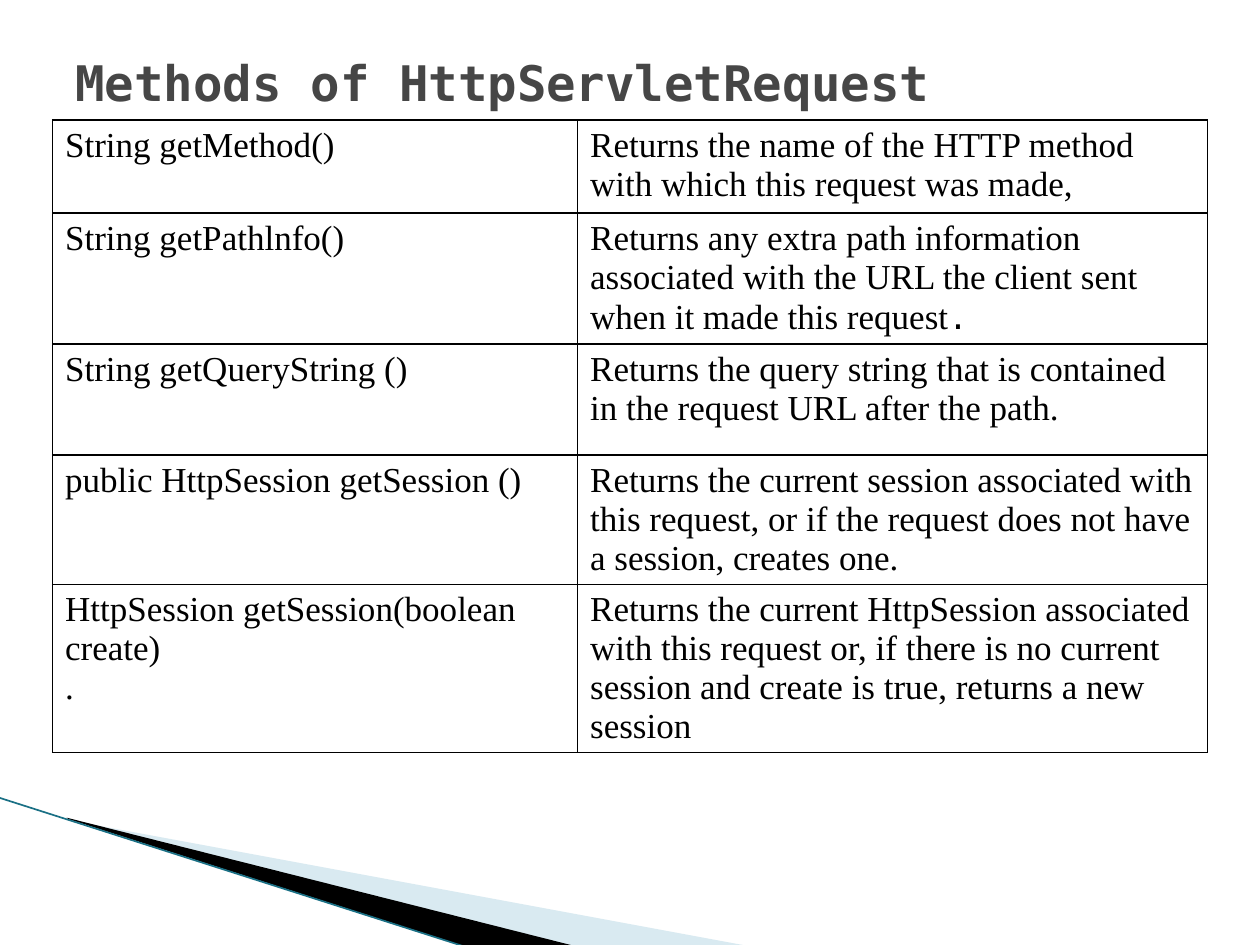
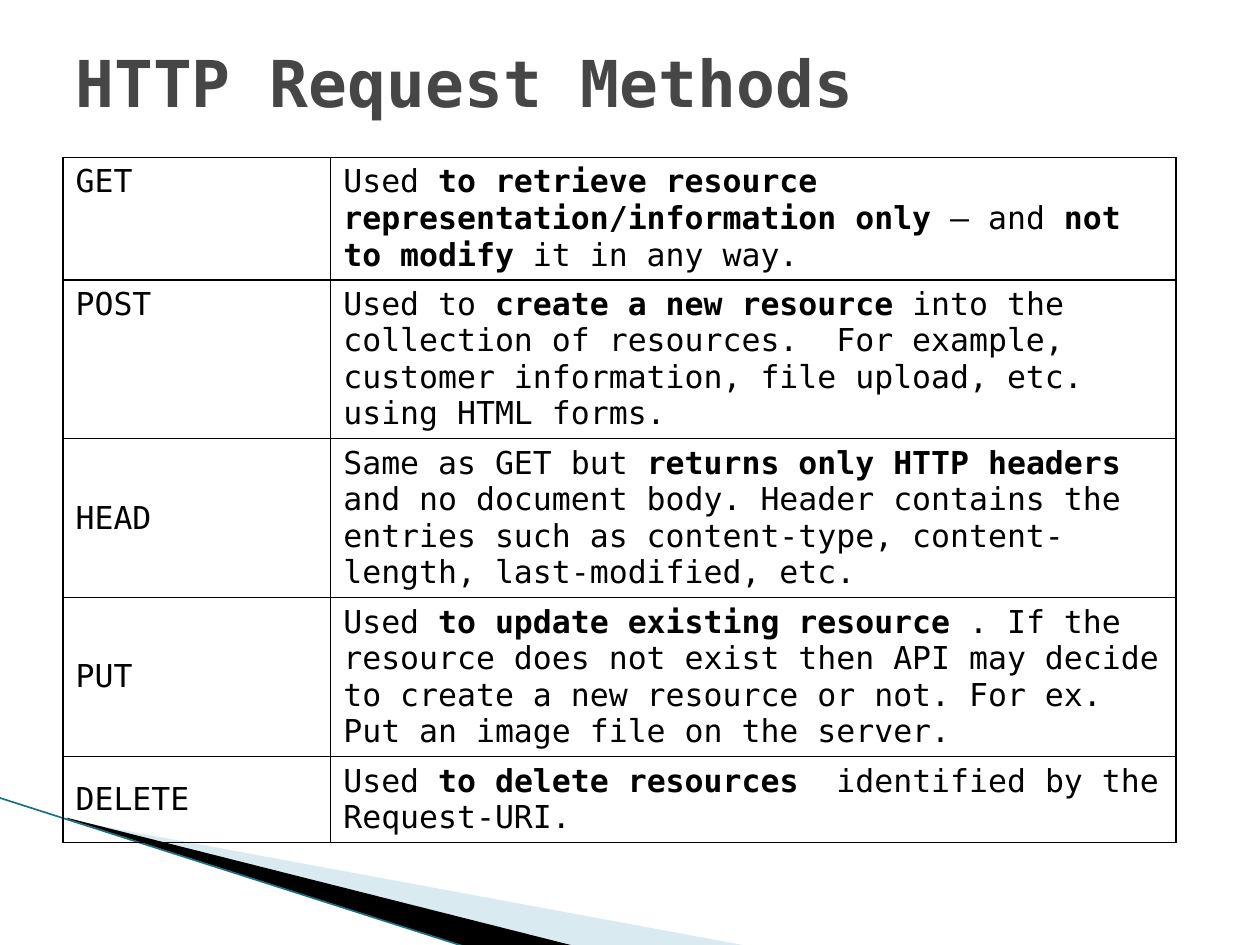
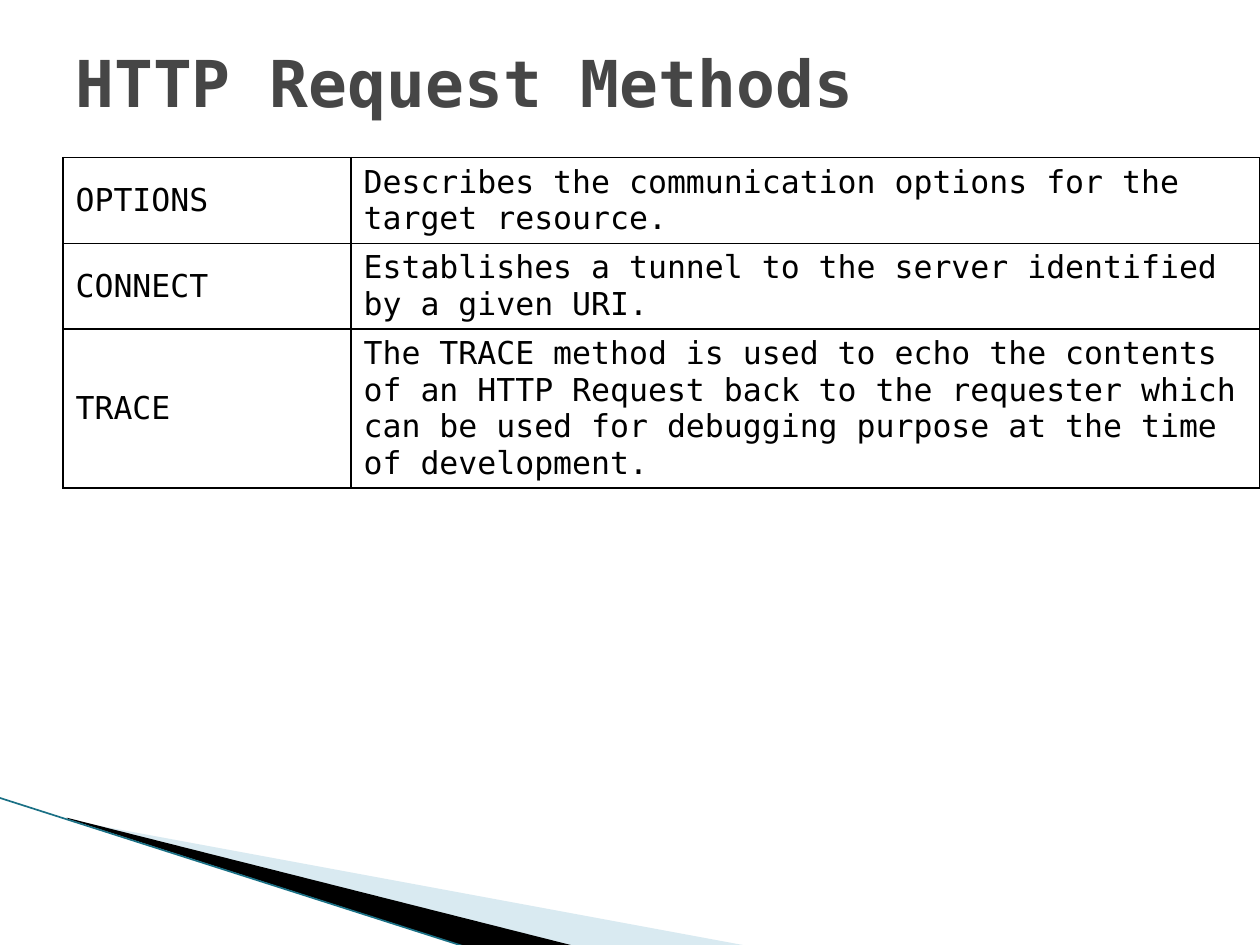
"""Build three slides of servlet and HTTP request method tables."""
from lxml import etree
from pptx import Presentation
from pptx.dml.color import RGBColor
from pptx.enum.shapes import MSO_CONNECTOR
from pptx.enum.text import MSO_ANCHOR
from pptx.oxml import parse_xml
from pptx.oxml.ns import nsdecls, qn
from pptx.util import Inches, Pt

TOP, MIDDLE = MSO_ANCHOR.TOP, MSO_ANCHOR.MIDDLE
STRAIGHT = MSO_CONNECTOR.STRAIGHT
MONO, SERIF = "DejaVu Sans Mono", "Times New Roman"
BLACK, TITLE_GREY, PALE_BLUE, TEAL = "000000", "464646", "A0CBDC", "1A7085"


def color(code):
    return RGBColor.from_string(code)


def add_span(para, text, font, size, bold, code):
    span = para.add_run()
    span.text = text
    span.font.name = font
    span.font.size = Pt(size)
    span.font.bold = bold
    span.font.color.rgb = color(code)


deck = Presentation()
deck.slide_width, deck.slide_height = Inches(10), Inches(7.5)
COLUMN, ROW = deck.slide_width / 100, deck.slide_height / 75

WEDGES = [
    (PALE_BLUE, 40, (7.8, 54.7, 41.6, 15.8),
     [(5.5, 65.1), (59.5, 75.1), (45.6, 75.1), (5.5, 65)]),
    (BLACK, 100, (-0.6, 63.3, 41.6, 9.2),
     [(5.3, 64.9), (45.7, 75.1), (37.2, 75.2), (5.4, 65)]),
]

MONO_STYLES = [(MONO, 18, False), (MONO, 18, True)]
PAGES = [
    {
        "title": "Methods of HttpServletRequest", "title_size": 28,
        "corner": (4.17, 9.52), "columns": (41.67, 50),
        "rows": (7.4, 8.3, 8.8, 9.6, 8.8), "top_rows": 5,
        "styles": [(SERIF, 20, False), (MONO, 18, False), (MONO, 20, False)],
        "cells": [
            ("String getMethod()",
             "Returns the name of the HTTP method with which this request was made, "),
            ("String getPathlnfo() ",
             "Returns any extra path information associated with the URL the client "
             "sent when it made this request*.* "),
            ("String getQueryString () ",
             "Returns the query string that is contained in the request URL after the path. "),
            ("public HttpSession getSession ()",
             "Returns the current session associated with this request, or if the "
             "request does not have a session, creates one."),
            ("HttpSession getSession(boolean create) \n.",
             "Returns the current HttpSession associated with this request or, if there "
             "is no current session and create is true, returns a new session"),
        ],
    },
    {
        "title": "HTTP Request Methods", "title_size": 36.9,
        "corner": (5, 12.5), "columns": (21.25, 67.08),
        "rows": (7.5, 10.8, 10.8, 10.8, 4.4), "top_rows": 2,
        "styles": MONO_STYLES,
        "cells": [
            ("GET",
             "Used* to retrieve resource representation/information only*\u00a0– and "
             "*not to modify *it in any way."),
            ("POST",
             "Used to *create a new resource *into the collection of resources. "
             "\u00a0For example, customer information, file upload, etc. using HTML forms."),
            ("HEAD",
             "Same as GET but *returns only HTTP headers *and no document body. Header "
             "contains the entries such as content-type, content-length, "
             "last-modified, etc."),
            ("PUT",
             "Used* to update existing resource*\u00a0. If the resource does not exist "
             "then API may decide to create a new resource or not. For ex. Put an image "
             "file on the server."),
            ("DELETE",
             "Used\u00a0*to delete resources *\u00a0identified by the Request-URI."),
        ],
    },
    {
        "title": "HTTP Request Methods", "title_size": 36.9,
        "corner": (5, 12.5), "columns": (22.86, 72.14),
        "rows": (4.1, 4.1, 4.1), "top_rows": 0,
        "styles": MONO_STYLES,
        "cells": [
            ("OPTIONS", "Describes the communication options for the target resource."),
            ("CONNECT", "Establishes a tunnel to the server identified by a given URI."),
            ("TRACE",
             "The TRACE method is used to echo the contents of an HTTP Request back to "
             "the requester which can be used for debugging purpose at the time of "
             "development."),
        ],
    },
]

for content in PAGES:
    page = deck.slides.add_slide(deck.slide_layouts[6])

    for code, opacity, frame, corners in WEDGES:
        points = [(round(x * COLUMN), round(y * ROW)) for x, y in corners]
        outline = page.shapes.build_freeform(*points[0])
        outline.add_line_segments(points[1:])
        wedge = outline.convert_to_shape()
        wedge.left, wedge.width = round(frame[0] * COLUMN), round(frame[2] * COLUMN)
        wedge.top, wedge.height = round(frame[1] * ROW), round(frame[3] * ROW)
        contour = wedge._element.spPr.find(".//" + qn("a:path"))
        contour.set("w", str(wedge.width))
        contour.set("h", str(wedge.height))
        for mark, (x, y) in zip(contour.iter(qn("a:pt")), points):
            mark.set("x", str(x - wedge.left))
            mark.set("y", str(y - wedge.top))
        wedge.shadow.inherit = False
        wedge.fill.solid()
        wedge.fill.fore_color.rgb = color(code)
        wedge.line.fill.background()
        if opacity < 100:
            tint = wedge._element.spPr.find(".//" + qn("a:srgbClr"))
            etree.SubElement(tint, qn("a:alpha")).set("val", str(opacity * 1000))

    edge = page.shapes.add_connector(
        STRAIGHT, round(-0.1 * COLUMN), round(63.3 * ROW),
        round(37.1 * COLUMN), round(75.2 * ROW))
    edge.line.color.rgb = color(TEAL)
    edge.line.width = Pt(0.95)
    etree.SubElement(edge._element.spPr, qn("a:effectLst"))

    left, top = content["corner"]
    table = page.shapes.add_table(
        len(content["rows"]), len(content["columns"]),
        round(left * COLUMN), round(top * ROW),
        round(sum(content["columns"]) * COLUMN),
        round(sum(content["rows"]) * ROW)).table
    table.first_row = table.horz_banding = False
    for column, width in zip(table.columns, content["columns"]):
        column.width = round(width * COLUMN)
    for row, height in zip(table.rows, content["rows"]):
        row.height = round(height * ROW)

    styles = content["styles"]
    for row_index, texts in enumerate(content["cells"]):
        for column_index, text in enumerate(texts):
            cell = table.cell(row_index, column_index)
            cell.vertical_anchor = TOP if row_index < content["top_rows"] else MIDDLE
            for side in ("lnL", "lnR", "lnT", "lnB"):
                cell._tc.get_or_add_tcPr().append(parse_xml(
                    f'<a:{side} {nsdecls("a")} w="{Pt(1)}"><a:solidFill>'
                    f'<a:srgbClr val="{BLACK}"/></a:solidFill></a:{side}>'))
            cell.fill.background()
            for line_index, line in enumerate(text.split("\n")):
                if line_index:
                    para = cell.text_frame.add_paragraph()
                else:
                    para = cell.text_frame.paragraphs[0]
                for part_index, part in enumerate(line.split("*")):
                    add_span(para, part, *styles[part_index % len(styles)], BLACK)

    box = page.shapes.add_textbox(
        round(5 * COLUMN), round(3 * ROW), round(90 * COLUMN), round(7 * ROW))
    box.text_frame.word_wrap = True
    box.text_frame.vertical_anchor = MIDDLE
    add_span(box.text_frame.paragraphs[0], content["title"], MONO,
             content["title_size"], True, TITLE_GREY)

deck.save("out.pptx")
